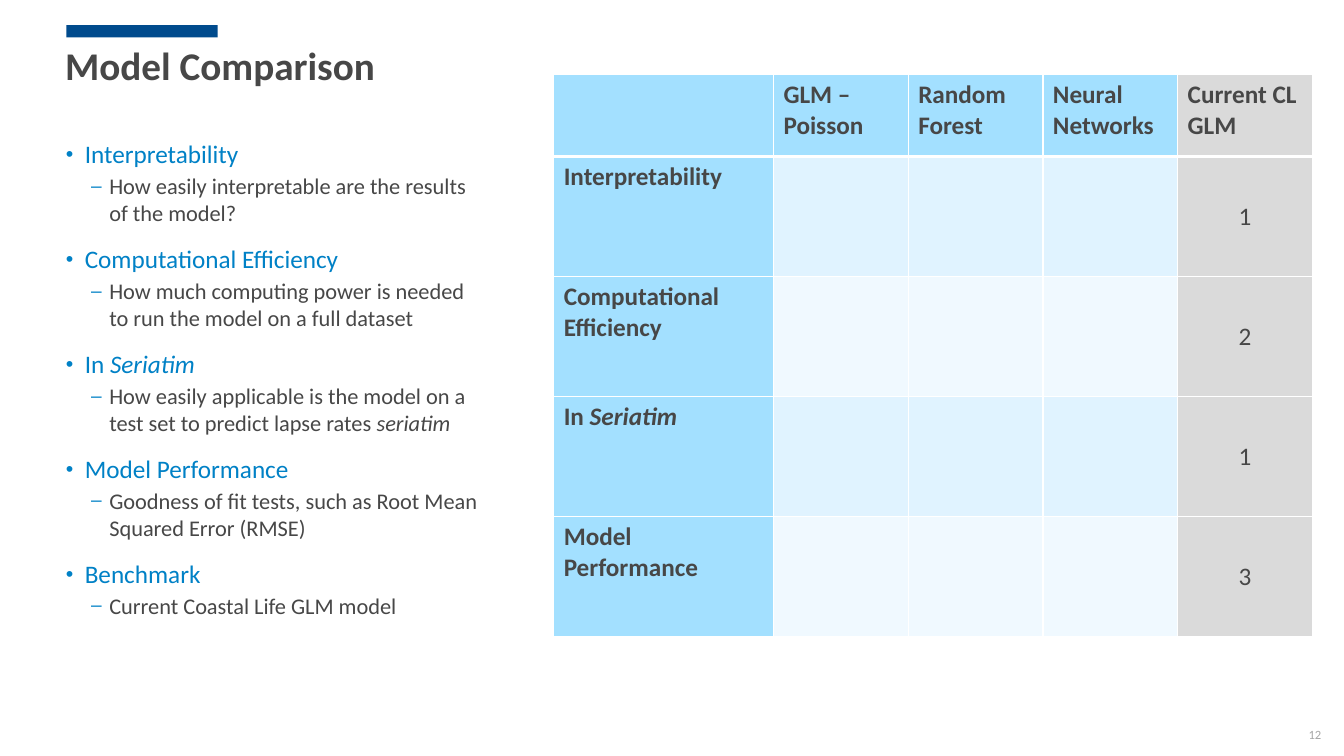
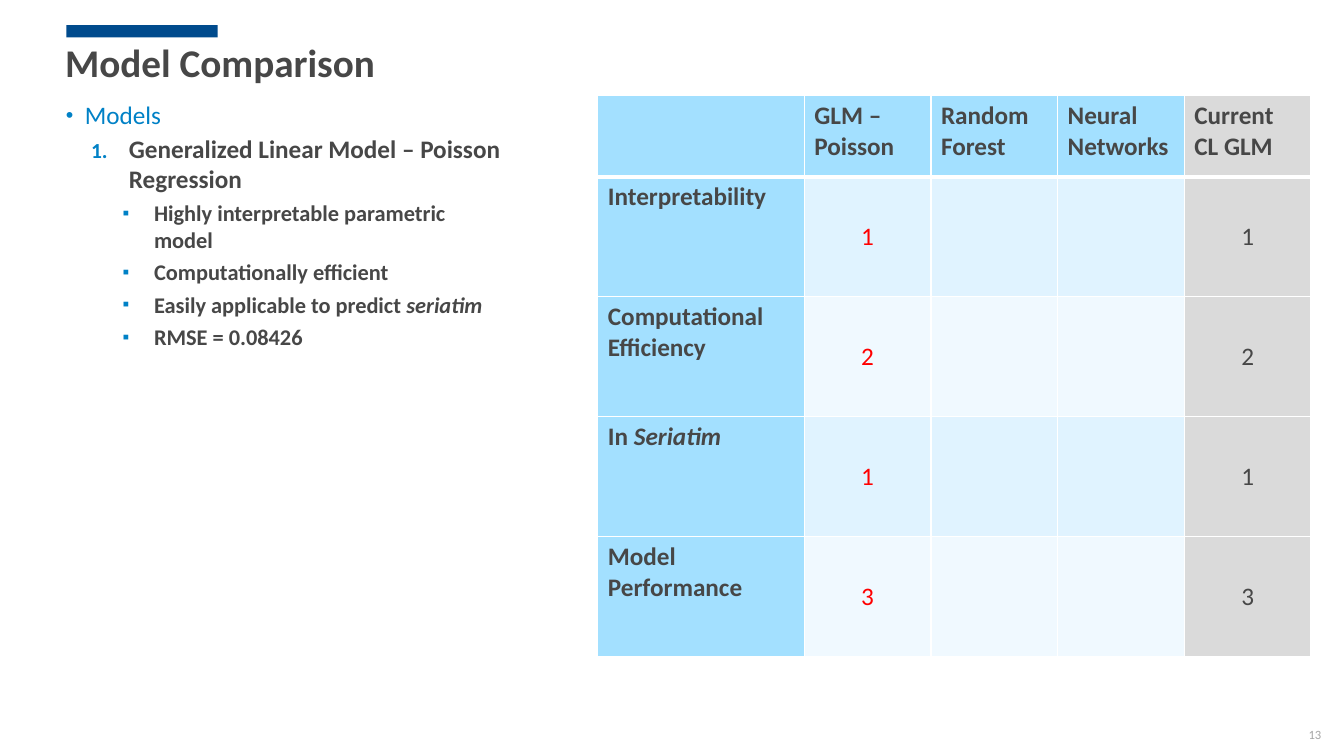
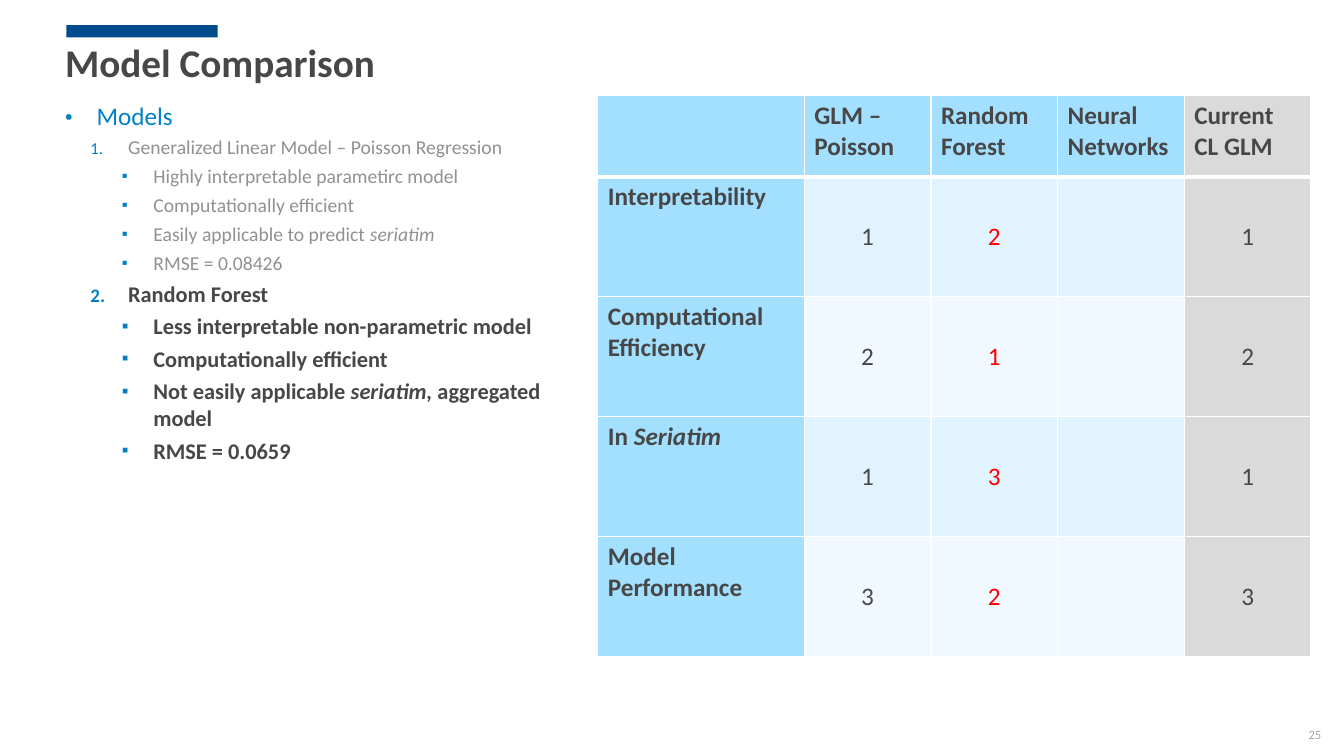
from dataclasses import dataclass, replace

from lxml import etree
from pptx import Presentation
from pptx.dml.color import RGBColor
from pptx.enum import shapes, text
from pptx.oxml.ns import qn
from pptx.util import Pt


@dataclass(frozen=True)
class Theme:
    font: str = "Calibri"
    bar: str = "004B8D"
    accent: str = "0081C6"
    ink: str = "474747"
    muted: str = "919191"
    page: str = "A6A6A6"
    new: str = "FF0000"
    rule: str = "FFFFFF"
    head: str = "A3E0FF"
    bands: tuple = ("E0F3FF", "F0F9FF")
    benchmark: str = "DADADA"
    title_size: int = 28
    large: int = 18
    medium: int = 16
    small: int = 14
    page_size: int = 9


@dataclass(frozen=True)
class Level:
    depth: int
    left: float
    hang: float
    bullet: str
    line: float = 1
    before: float = 0
    after: float = 4


@dataclass(frozen=True)
class Look:
    size: int
    color: str
    bold: bool = False


T = Theme()

TOPIC = Level(0, 13.5, 13.5, "•", line=0.95, before=10, after=2)
WIDE_TOPIC = replace(TOPIC, left=22.5, hang=22.5)
DETAIL = Level(1, 31, 13, "–")
NUMBER = Level(1, 45, 27, "1.")
POINT = Level(2, 63, 22.5, "▪")

HEADING = Look(T.large, T.accent)
PLAIN = Look(T.medium, T.ink)
STRONG = Look(T.medium, T.ink, True)
STRONG_LARGE = Look(T.large, T.ink, True)
MUTED = Look(T.small, T.muted)
SCORE = Look(T.large, T.ink)
NEW_SCORE = Look(T.large, T.new)

MODELS = ["GLM – Poisson", "Random Forest", "Neural Networks", "Current CL GLM"]
CRITERIA = ["Interpretability", "Computational Efficiency", "In *Seriatim*",
            "Model Performance"]
GLM_SCORES = [1, 2, 1, 3]
FOREST_SCORES = [2, 1, 3, 2]

CRITERIA_NOTES = [
    ("Interpretability", "How easily interpretable are the results of the model?"),
    ("Computational Efficiency",
     "How much computing power is needed to run the model on a full dataset"),
    ("In *Seriatim*",
     "How easily applicable is the model on a test set to predict lapse rates *seriatim*"),
    ("Model Performance",
     "Goodness of fit tests, such as Root Mean Squared Error (RMSE)"),
    ("Benchmark", "Current Coastal Life GLM model"),
]
GLM_TITLE = "Generalized Linear Model – Poisson Regression"
GLM_POINTS = ["Highly interpretable parametric model", "Computationally efficient",
              "Easily applicable to predict *seriatim*", "RMSE = 0.08426"]
GLM_POINTS_RECAP = ["Highly interpretable parametirc model", *GLM_POINTS[1:]]
FOREST_POINTS = ["Less interpretable non-parametric model", "Computationally efficient",
                 "Not easily applicable *seriatim,* aggregated model", "RMSE = 0.0659"]


def rgb(color):
    return RGBColor.from_string(color)


def write(p, content, look):
    """Fill a paragraph; parts between asterisks are italic."""
    first, *rest = content.split("*")
    p.text = first
    for part in filter(None, rest):
        p.add_run().text = part
    italics = [i % 2 == 1 for i, part in enumerate([first, *rest]) if part]
    for r, italic in zip(p.runs, italics):
        r.font.name = T.font
        r.font.size = Pt(look.size)
        r.font.color.rgb = rgb(look.color)
        r.font.bold = look.bold
        r.font.italic = italic


def add_text_box(s, left, top, width, height):
    tf = s.shapes.add_textbox(Pt(left), Pt(top), Pt(width), Pt(height)).text_frame
    tf.word_wrap = True
    return tf


def add_frame(prs, title_top, number):
    """Add a slide with the parts that all slides share."""
    s = prs.slides.add_slide(prs.slide_layouts[6])
    bar = s.shapes.add_shape(shapes.MSO_SHAPE.RECTANGLE, Pt(47.5), Pt(18), Pt(108), Pt(8.75))
    bar.shadow.inherit = False
    bar.fill.solid()
    bar.fill.fore_color.rgb = rgb(T.bar)
    bar.line.fill.background()

    p = add_text_box(s, 39.5, title_top, 864, 57.5).paragraphs[0]
    p.line_spacing = 0.9
    write(p, "Model Comparison", Look(T.title_size, T.ink, True))

    tf = add_text_box(s, 919.5, 510, 39.5, 28.5)
    tf.vertical_anchor = text.MSO_ANCHOR.MIDDLE
    p = tf.paragraphs[0]
    p.alignment = text.PP_ALIGN.CENTER
    write(p, str(number), Look(T.page_size, T.page))
    return s


def set_bullet(p, level):
    pPr = p._p.get_or_add_pPr()
    pPr.set("marL", str(Pt(level.left)))
    pPr.set("indent", str(-Pt(level.hang)))
    color = etree.SubElement(pPr, qn("a:buClr"))
    etree.SubElement(color, qn("a:srgbClr"), val=T.accent)
    etree.SubElement(pPr, qn("a:buSzPct"), val="85000")
    if level.bullet == "1.":
        etree.SubElement(pPr, qn("a:buFont"), typeface=T.font)
        etree.SubElement(pPr, qn("a:buAutoNum"), type="arabicPeriod")
    else:
        etree.SubElement(pPr, qn("a:buFont"), typeface="Arial")
        etree.SubElement(pPr, qn("a:buChar"), char=level.bullet)


def add_outline(s, left, top, width, items):
    """Add a bulleted list of (level, look, content) items."""
    tf = add_text_box(s, left, top, width, 356.5)
    for i, (level, look, content) in enumerate(items):
        p = tf.add_paragraph() if i else tf.paragraphs[0]
        p.level = level.depth
        p.line_spacing = level.line
        p.space_before = Pt(level.before if i else 0)
        p.space_after = Pt(level.after)
        set_bullet(p, level)
        write(p, content, look)


def set_cell(cell, fill, bottom=1):
    """Give a cell white borders and a solid fill."""
    tcPr = cell._tc.get_or_add_tcPr()
    for side, width in (("L", 1), ("R", 1), ("T", 1), ("B", bottom)):
        ln = etree.SubElement(tcPr, qn(f"a:ln{side}"), w=str(Pt(width)))
        solid = etree.SubElement(ln, qn("a:solidFill"))
        etree.SubElement(solid, qn("a:srgbClr"), val=T.rule)
    cell.fill.solid()
    cell.fill.fore_color.rgb = rgb(fill)


def write_score(cell, score, look):
    cell.vertical_anchor = text.MSO_ANCHOR.MIDDLE
    p = cell.text_frame.paragraphs[0]
    p.alignment = text.PP_ALIGN.CENTER
    write(p, str(score), look)


def add_scores(s, left, top, label_width, model_width, scores=()):
    """Add the score table; the last column of scores is the new one."""
    widths = [label_width] + [model_width] * len(MODELS)
    heights = [58.25] + [85.75] * len(CRITERIA)
    table = s.shapes.add_table(len(heights), len(widths), Pt(left), Pt(top),
                               Pt(sum(widths)), Pt(sum(heights))).table
    for col, width in zip(table.columns, widths):
        col.width = Pt(width)
    for row, height in zip(table.rows, heights):
        row.height = Pt(height)

    last = len(MODELS)
    for r in range(len(heights)):
        for c in range(len(widths)):
            if c == last:
                fill = T.benchmark
            elif r == 0 or c == 0:
                fill = T.head
            else:
                fill = T.bands[(r - 1) % 2]
            set_cell(table.cell(r, c), fill, bottom=1 if r else 3)

    for c, model in enumerate(MODELS, 1):
        write(table.cell(0, c).text_frame.paragraphs[0], model, STRONG_LARGE)
    for r, criterion in enumerate(CRITERIA, 1):
        write(table.cell(r, 0).text_frame.paragraphs[0], criterion, STRONG_LARGE)
        write_score(table.cell(r, last), GLM_SCORES[r - 1], SCORE)
        for c, column in enumerate(scores, 1):
            look = NEW_SCORE if c == len(scores) else SCORE
            write_score(table.cell(r, c), column[r - 1], look)


def model_items(title, points, title_look, point_look):
    return [(NUMBER, title_look, title)] + [(POINT, point_look, p) for p in points]


def add_criteria_slide(prs):
    s = add_frame(prs, 29.5, 12)
    items = []
    for topic, detail in CRITERIA_NOTES:
        items += [(TOPIC, HEADING, topic), (DETAIL, PLAIN, detail)]
    add_outline(s, 40, 97, 314, items)
    add_scores(s, 395.5, 53.5, 157, 96.25)


def add_model_slide(prs, number, left, top, width, items, scores):
    s = add_frame(prs, 27.5, number)
    add_outline(s, left, top, width, items)
    add_scores(s, 427, 68, 147.5, 90.5, scores)


def main():
    prs = Presentation()
    prs.slide_width, prs.slide_height = Pt(960), Pt(540)
    add_criteria_slide(prs)
    add_model_slide(
        prs, 13, 40, 69, 327,
        [(TOPIC, HEADING, "Models")]
        + model_items(GLM_TITLE, GLM_POINTS, STRONG_LARGE, STRONG),
        [GLM_SCORES])
    add_model_slide(
        prs, 25, 39.5, 70, 360,
        [(WIDE_TOPIC, HEADING, "Models")]
        + model_items(GLM_TITLE, GLM_POINTS_RECAP, MUTED, MUTED)
        + model_items("Random Forest", FOREST_POINTS, STRONG, STRONG),
        [GLM_SCORES, FOREST_SCORES])
    prs.save("out.pptx")


if __name__ == "__main__":
    main()
